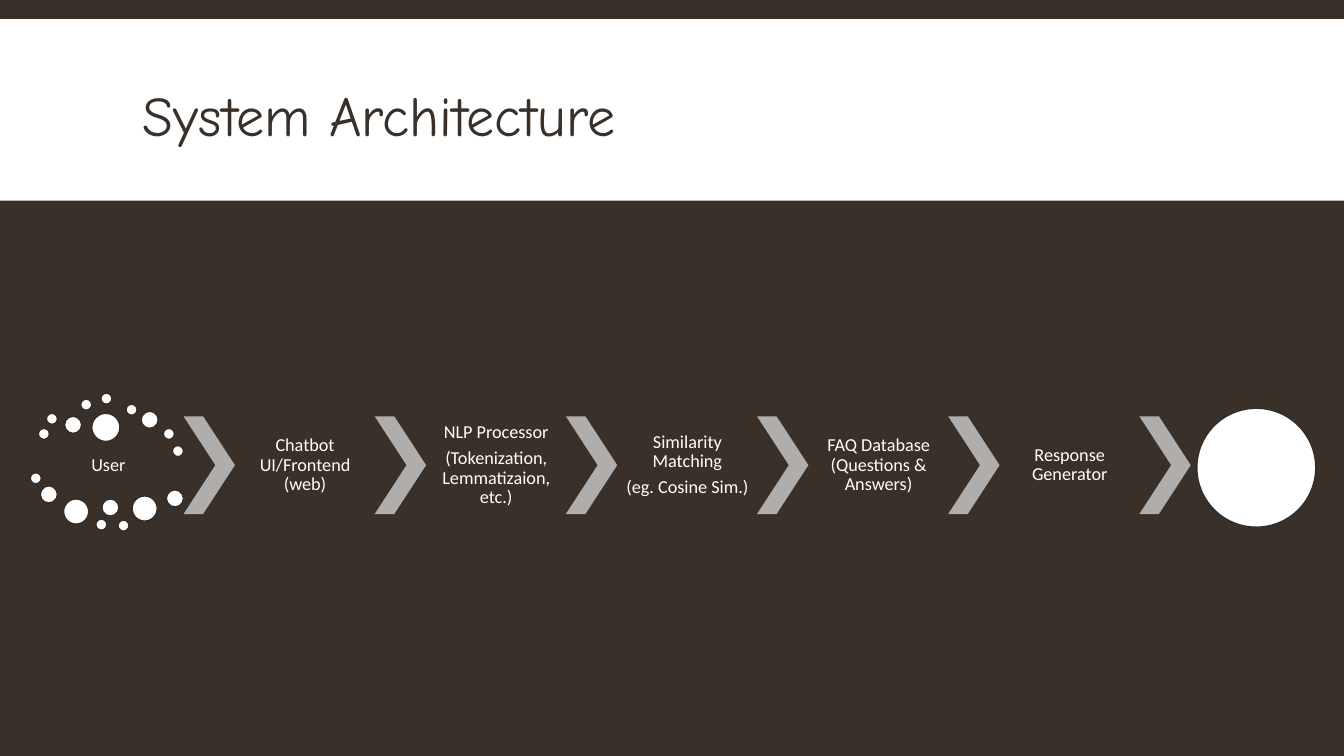
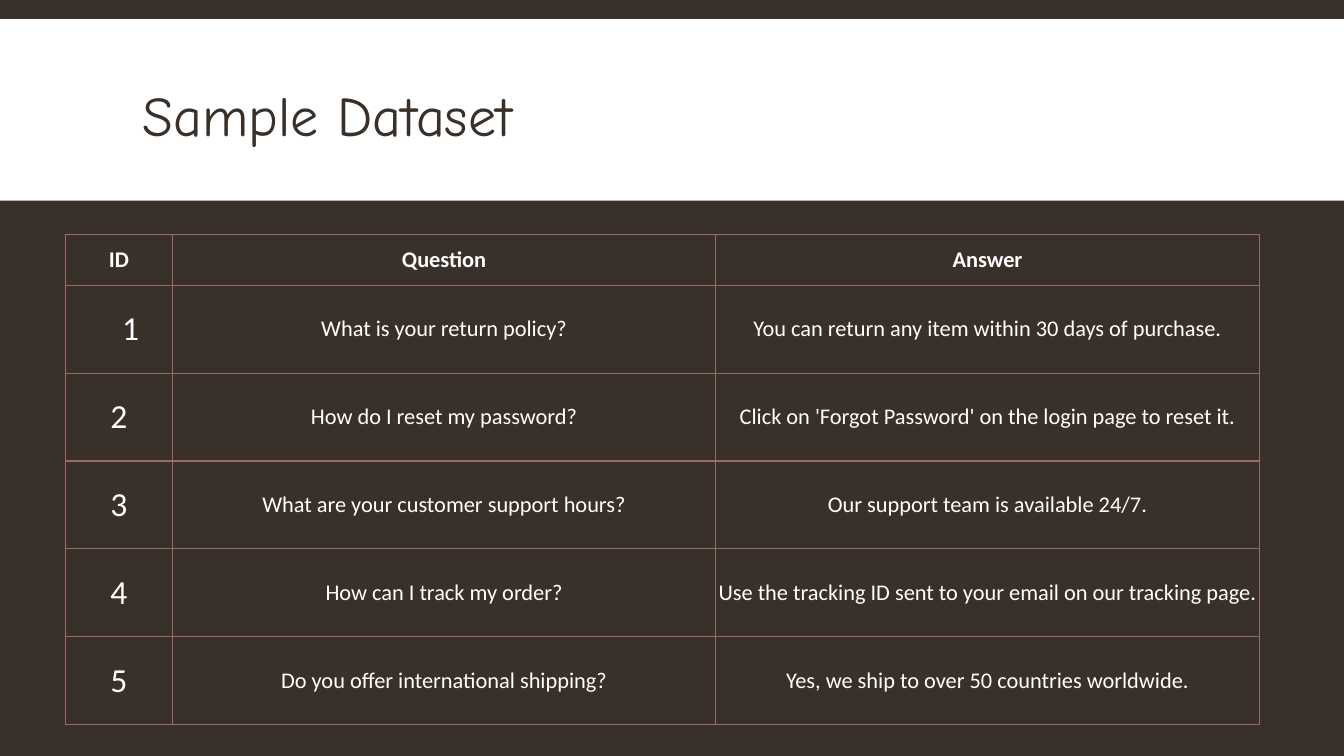
"""Build the chatbot architecture and sample dataset slides."""
from typing import NamedTuple

from lxml.etree import SubElement
from pptx import Presentation
from pptx.dml.color import RGBColor
from pptx.enum.shapes import MSO_SHAPE as Preset
from pptx.enum.text import MSO_ANCHOR as Anchor, PP_ALIGN as Align
from pptx.oxml.ns import qn
from pptx.presentation import Presentation as Deck
from pptx.shapes.autoshape import Shape
from pptx.slide import Slide
from pptx.table import _Cell as Cell
from pptx.util import Inches, Pt

BROWN = RGBColor(0x39, 0x30, 0x2A)
OUTLINE = RGBColor(0x34, 0x2C, 0x26)
WHITE = RGBColor(0xFF, 0xFF, 0xFF)
GREY = RGBColor(0xAF, 0xAE, 0xAD)
ROSE = RGBColor(0x9C, 0x6A, 0x6A)
TITLE_FONT = "Comic Neue"
BODY_FONT = "Calibri"
WIDTH, HEIGHT = 13.33, 7.5


class Box(NamedTuple):
    """A rectangle in inches."""

    left: float
    top: float
    width: float
    height: float


class Dot(NamedTuple):
    """A round dot given by its top left corner and diameter in inches."""

    left: float
    top: float
    size: float


class Stage(NamedTuple):
    """One step of the pipeline, with one string per paragraph."""

    lines: tuple[str, ...]


class Entry(NamedTuple):
    """One row of the dataset."""

    number: str
    question: str
    answer: str
    indent: float = 0.01


SMALL, MEDIUM, LARGE, HEAD = 0.11, 0.17, 0.25, 0.28
DOTS = (
    Dot(0.38, 4.25, SMALL), Dot(0.46, 4.1, SMALL), Dot(0.64, 4.13, MEDIUM),
    Dot(0.8, 3.96, SMALL), Dot(1, 3.9, SMALL), Dot(1.25, 4.01, SMALL),
    Dot(1.4, 4.08, MEDIUM), Dot(1.62, 4.25, SMALL), Dot(1.71, 4.42, SMALL),
    Dot(0.91, 4.1, HEAD), Dot(0.3, 4.69, SMALL), Dot(0.4, 4.82, MEDIUM),
    Dot(0.63, 4.95, LARGE), Dot(0.95, 5.15, SMALL), Dot(1.01, 4.95, MEDIUM),
    Dot(1.17, 5.16, SMALL), Dot(1.31, 4.92, LARGE), Dot(1.65, 4.86, MEDIUM),
)
END_DOT = Dot(11.87, 4.05, 1.18)
USER_BOX = Box(0.38, 4.39, 1.39, 0.46)
STAGES = (
    Stage(("Chatbot UI/Frontend (web)",)),
    Stage(("NLP Processor", "(Tokenization, Lemmatizaion, etc.)")),
    Stage(("Similarity Matching", "(eg. Cosine Sim.)")),
    Stage(("FAQ Database (Questions & Answers)",)),
    Stage(("Response Generator",)),
)
FIRST_CHEVRON = Box(1.82, 4.13, 0.51, 0.97)
LAST_CHEVRON_LEFT = 11.3
LABEL_WIDTH = 1.39

HEADER = Entry("ID", "Question", "Answer")
ENTRIES = (
    Entry("1", "What is your return policy?",
          "You can return any item within 30 days of purchase.", indent=0.24),
    Entry("2", "How do I reset my password?",
          "Click on 'Forgot Password' on the login page to reset it."),
    Entry("3", "What are your customer support hours?",
          "Our support team is available 24/7."),
    Entry("4", "How can I track my order?",
          "Use the tracking ID sent to your email on our tracking page."),
    Entry("5", "Do you offer international shipping?",
          "Yes, we ship to over 50 countries worldwide."),
)
TABLE_BOX = Box(0.65, 2.33, 11.84, 4.86)
COLUMN_WIDTHS = (1.06, 5.39, 5.39)
HEADER_HEIGHT = 0.5


def lengths(box: Box) -> tuple[Inches, ...]:
    """Return the box as lengths."""
    return tuple(Inches(value) for value in box)


def add_solid(slide: Slide, preset: Preset, box: Box, colour: RGBColor) -> Shape:
    """Add a filled preset shape with no line or shadow."""
    shape = slide.shapes.add_shape(preset, *lengths(box))
    shape.shadow.inherit = False
    shape.fill.solid()
    shape.fill.fore_color.rgb = colour
    shape.line.fill.background()
    return shape


def add_dot(slide: Slide, dot: Dot) -> None:
    """Add a white outlined dot."""
    circle = add_solid(slide, Preset.OVAL, Box(*dot, dot.size), WHITE)
    circle.line.color.rgb = OUTLINE
    circle.line.width = Pt(1)


def add_label(slide: Slide, box: Box, lines: tuple[str, ...]) -> None:
    """Add centred pipeline text."""
    frame = slide.shapes.add_textbox(*lengths(box)).text_frame
    frame.word_wrap = True
    frame.vertical_anchor = Anchor.MIDDLE
    frame.margin_left = frame.margin_right = Inches(0.02)
    frame.margin_top = frame.margin_bottom = Inches(0.02)
    frame.text = "\n".join(lines)
    for paragraph in frame.paragraphs:
        paragraph.alignment = Align.CENTER
        paragraph.line_spacing = 0.9
        paragraph.space_after = Pt(4.5)
        paragraph.font.name = BODY_FONT
        paragraph.font.size = Pt(13)
        paragraph.font.color.rgb = WHITE


def add_titled_slide(deck: Deck, title: str) -> Slide:
    """Add a brown slide with the white title band."""
    slide = deck.slides.add_slide(deck.slide_layouts[6])
    slide.background.fill.solid()
    slide.background.fill.fore_color.rgb = BROWN
    add_solid(slide, Preset.RECTANGLE, Box(0, 0.19, WIDTH, 1.8), WHITE)
    frame = slide.shapes.add_textbox(*lengths(Box(1.32, 0.31, 10.7, 1.65))).text_frame
    frame.word_wrap = True
    frame.vertical_anchor = Anchor.MIDDLE
    frame.text = title
    heading = frame.paragraphs[0]
    heading.font.name = TITLE_FONT
    heading.font.size = Pt(40)
    heading.font.color.rgb = BROWN
    return slide


def add_borders(cell: Cell) -> None:
    """Draw a thin rose line on all four sides of a cell."""
    properties = cell._tc.get_or_add_tcPr()
    for side in ("a:lnL", "a:lnR", "a:lnT", "a:lnB"):
        line = SubElement(properties, qn(side), w=str(Pt(1)))
        fill = SubElement(line, qn("a:solidFill"))
        SubElement(fill, qn("a:srgbClr"), val=str(ROSE))


def fill_cell(cell: Cell, text: str, size: int, bold: bool, indent: float) -> None:
    """Write and style one table cell."""
    add_borders(cell)
    cell.fill.background()
    cell.vertical_anchor = Anchor.MIDDLE
    cell.margin_left = Inches(indent)
    cell.margin_right = cell.margin_top = cell.margin_bottom = Inches(0.01)
    cell.text = text
    paragraph = cell.text_frame.paragraphs[0]
    paragraph.alignment = Align.CENTER
    paragraph.font.name = BODY_FONT
    paragraph.font.size = Pt(size)
    paragraph.font.bold = bold
    paragraph.font.color.rgb = WHITE


def build_architecture(deck: Deck) -> None:
    """Build the pipeline from user to response."""
    slide = add_titled_slide(deck, "System Architecture")
    add_label(slide, USER_BOX, ("User",))
    for dot in (*DOTS, END_DOT):
        add_dot(slide, dot)
    start, top, width, height = FIRST_CHEVRON
    pitch = (LAST_CHEVRON_LEFT - start) / len(STAGES)
    for index in range(len(STAGES) + 1):
        box = FIRST_CHEVRON._replace(left=start + index * pitch)
        chevron = add_solid(slide, Preset.CHEVRON, box, GREY)
        chevron.adjustments[0] = 0.62
    for index, stage in enumerate(STAGES):
        left = start + index * pitch + width
        add_label(slide, Box(left, top, LABEL_WIDTH, height), stage.lines)


def build_dataset(deck: Deck) -> None:
    """Build the table of questions and answers."""
    slide = add_titled_slide(deck, "Sample Dataset")
    rows = (HEADER, *ENTRIES)
    table = slide.shapes.add_table(
        len(rows), len(COLUMN_WIDTHS), *lengths(TABLE_BOX)).table
    table.first_row = table.horz_banding = False
    for column, width in zip(table.columns, COLUMN_WIDTHS):
        column.width = Inches(width)
    entry_height = (TABLE_BOX.height - HEADER_HEIGHT) / len(ENTRIES)
    for row, entry in zip(table.rows, rows):
        is_header = entry is HEADER
        row.height = Inches(HEADER_HEIGHT if is_header else entry_height)
        number, question, answer = row.cells
        fill_cell(number, entry.number, 16 if is_header else 24, is_header, entry.indent)
        fill_cell(question, entry.question, 16, is_header, 0.01)
        fill_cell(answer, entry.answer, 16, is_header, 0.01)


def main() -> None:
    """Build and save the deck."""
    deck = Presentation()
    deck.slide_width, deck.slide_height = Inches(WIDTH), Inches(HEIGHT)
    build_architecture(deck)
    build_dataset(deck)
    deck.save("out.pptx")


if __name__ == "__main__":
    main()
